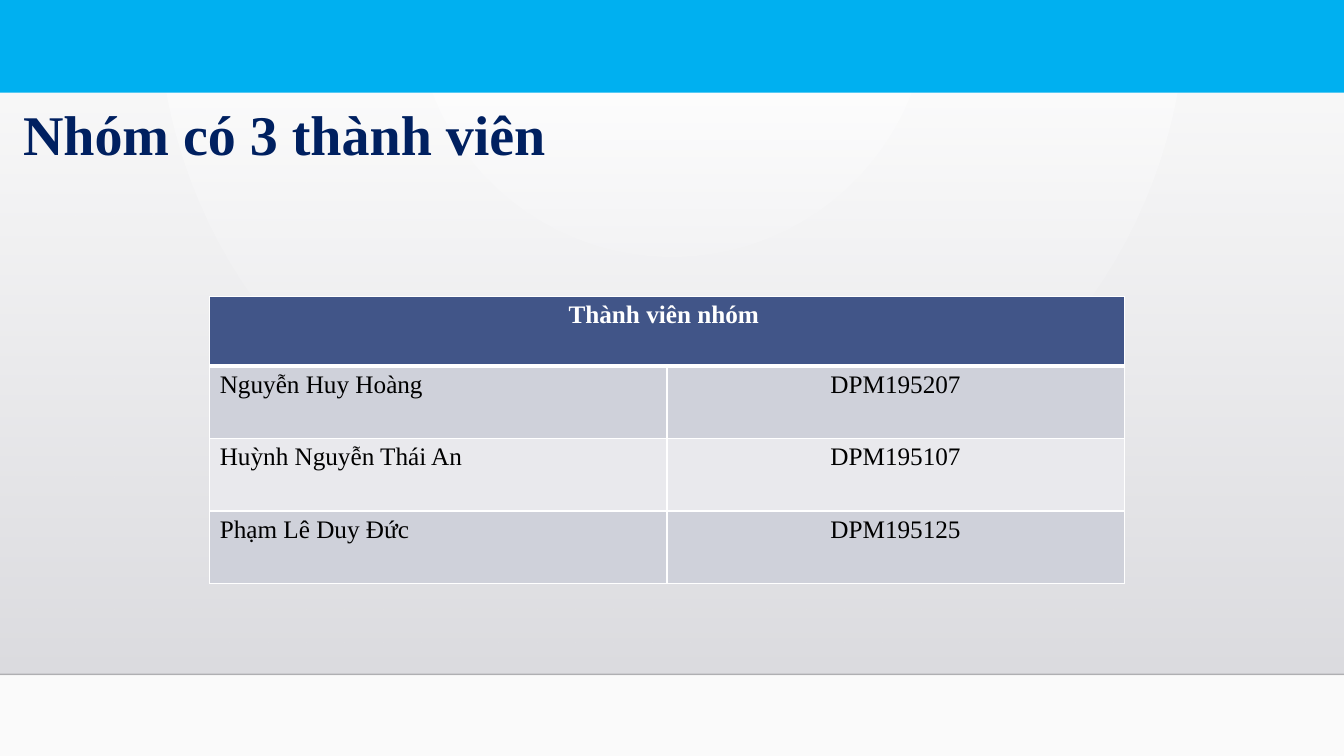
import pptx
import pptx.util
import pptx.dml.color
import pptx.enum.shapes
import pptx.enum.text
import pptx.oxml.ns
from lxml import etree

Inches = pptx.util.Inches
Pt = pptx.util.Pt
qn = pptx.oxml.ns.qn
ALIGN = pptx.enum.text.PP_ALIGN


def color(hex_value):
    return pptx.dml.color.RGBColor.from_string(hex_value)


def write_text(frame, text, size=18, font="Times New Roman", fill="000000", bold=False, align=ALIGN.LEFT):
    paragraph = frame.paragraphs[0]
    paragraph.alignment = align
    run = paragraph.add_run()
    run.text = text
    run.font.size = Pt(size)
    run.font.name = font
    run.font.bold = bold
    run.font.color.rgb = color(fill)


def set_alpha(color_element, percent):
    etree.SubElement(color_element, qn("a:alpha")).set("val", str(percent * 1000))


class SlideBuilder:
    white = "FFFFFF"
    navy = "002060"
    header_fill = "415588"
    row_fills = ("CFD1DA", "E9E9ED")

    def __init__(self, deck):
        self.slide = deck.slides.add_slide(deck.slide_layouts[6])

    def gradient(self, fill, colors):
        fill.gradient()
        for stop, position, hex_value in zip(fill.gradient_stops, (0, 1), colors):
            stop.position = position
            stop.color.rgb = color(hex_value)

    def radial_background(self, colors):
        self.gradient(self.slide.background.fill, colors)
        gradient = next(self.slide.element.iter(qn("a:gradFill")))
        gradient.remove(gradient.find(qn("a:lin")))
        circle = etree.SubElement(gradient, qn("a:path"))
        circle.set("path", "circle")
        focus = etree.SubElement(circle, qn("a:fillToRect"))
        for side, percent in zip("ltrb", (43, 0, 43, 100)):
            focus.set(side, str(percent * 1000))

    def rectangle(self, left, top, width, height):
        shape = self.slide.shapes.add_shape(
            pptx.enum.shapes.MSO_SHAPE.RECTANGLE,
            Inches(left), Inches(top), Inches(width), Inches(height))
        shape.shadow.inherit = False
        shape.line.fill.background()
        return shape

    def band(self, left, top, width, height, fill):
        shape = self.rectangle(left, top, width, height)
        shape.fill.solid()
        shape.fill.fore_color.rgb = color(fill)

    def fading_panel(self, left, top, width, height, colors):
        shape = self.rectangle(left, top, width, height)
        self.gradient(shape.fill, colors)
        shape.fill.gradient_angle = 270
        first_color = next(shape.element.iter(qn("a:gs")))[0]
        set_alpha(first_color, 0)

    def rule(self, top, width, fill, opacity):
        line = self.slide.shapes.add_connector(
            pptx.enum.shapes.MSO_CONNECTOR.STRAIGHT,
            0, Inches(top), Inches(width), Inches(top))
        line.line.width = Pt(1)
        line.line.color.rgb = color(fill)
        set_alpha(next(line.element.spPr.iter(qn("a:srgbClr"))), opacity)
        etree.SubElement(line.element.spPr, qn("a:effectLst"))

    def title(self, left, top, width, height, text):
        box = self.slide.shapes.add_textbox(
            Inches(left), Inches(top), Inches(width), Inches(height))
        box.text_frame.word_wrap = False
        box.text_frame.auto_size = pptx.enum.text.MSO_AUTO_SIZE.SHAPE_TO_FIT_TEXT
        write_text(box.text_frame, text, size=40, fill=self.navy, bold=True)

    def style_cell(self, cell, fill, top=1, bottom=1):
        properties = cell._tc.get_or_add_tcPr()
        for side, width in (("L", 1), ("R", 1), ("T", top), ("B", bottom)):
            border = etree.SubElement(properties, qn(f"a:ln{side}"))
            border.set("w", str(Pt(width)))
            solid = etree.SubElement(border, qn("a:solidFill"))
            etree.SubElement(solid, qn("a:srgbClr")).set("val", self.white)
        cell.fill.solid()
        cell.fill.fore_color.rgb = color(fill)

    def member_table(self, left, top, width, row_heights, heading, members):
        table = self.slide.shapes.add_table(
            len(row_heights), 2, Inches(left), Inches(top),
            Inches(width), Inches(sum(row_heights))).table
        for row, height in zip(table.rows, row_heights):
            row.height = Inches(height)
        for column in range(2):
            self.style_cell(table.cell(0, column), self.header_fill, bottom=3)
        table.cell(0, 0).merge(table.cell(0, 1))
        write_text(table.cell(0, 0).text_frame, heading,
                   fill=self.white, bold=True, align=ALIGN.CENTER)
        for row, member in enumerate(members, start=1):
            for column, (text, align) in enumerate(zip(member, (ALIGN.LEFT, ALIGN.CENTER))):
                cell = table.cell(row, column)
                self.style_cell(cell, self.row_fills[(row - 1) % 2], top=3 if row == 1 else 1)
                write_text(cell.text_frame, text, align=align)


def main():
    deck = pptx.Presentation()
    deck.slide_width = Inches(13.33)
    deck.slide_height = Inches(7.5)
    builder = SlideBuilder(deck)
    builder.radial_background(("FFFFFF", "FAFAFA"))
    builder.fading_panel(0, 0.51, 13.33, 6.18, ("DCDCE0", "DEDEE2"))
    builder.rule(6.69, 13.33, "000001", 20)
    builder.band(0, 0, 13.33, 0.92, "00B0F0")
    members = (
        ("Nguyễn Huy Hoàng", "DPM195207"),
        ("Huỳnh Nguyễn Thái An", "DPM195107"),
        ("Phạm Lê Duy Đức", "DPM195125"),
    )
    builder.member_table(2.08, 2.94, 9.07, (0.69, 0.72, 0.72, 0.72), "Thành viên nhóm ", members)
    builder.title(0.13, 0.94, 5.58, 0.77, "Nhóm có 3 thành viên")
    deck.save("out.pptx")


if __name__ == "__main__":
    main()
